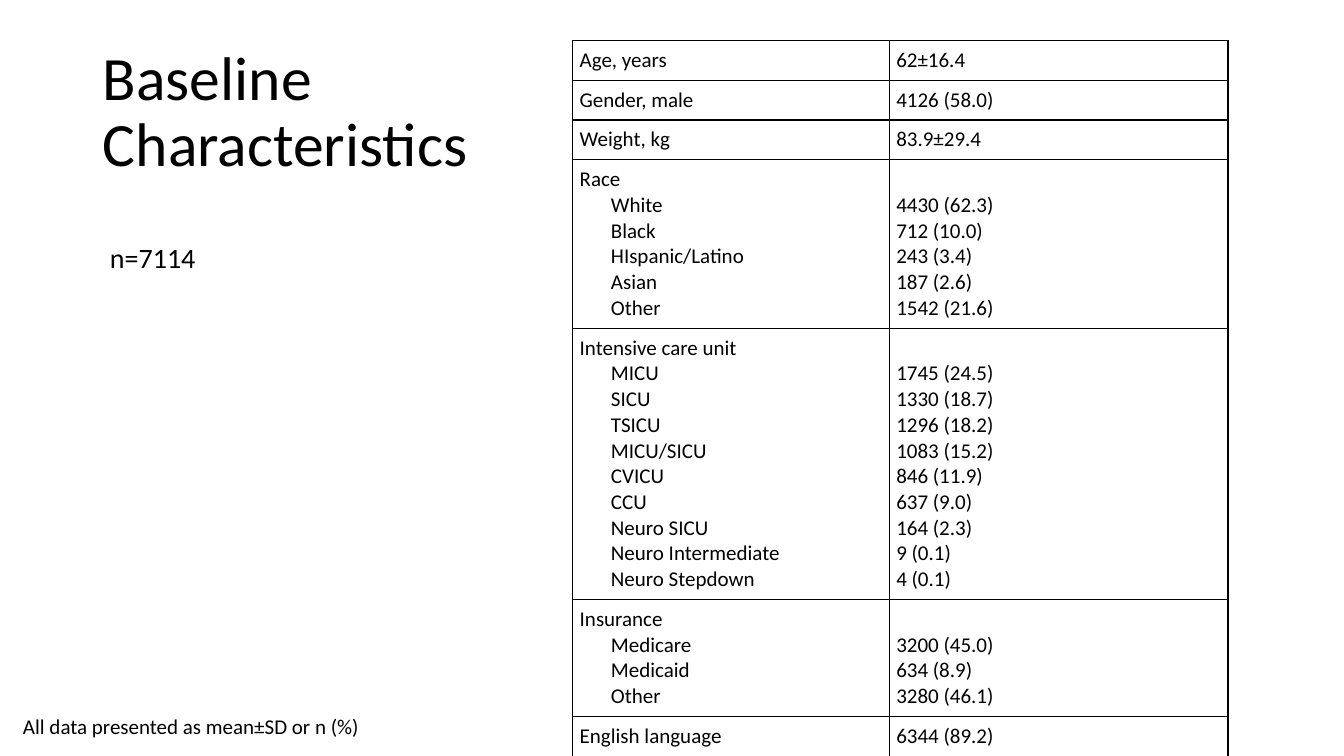
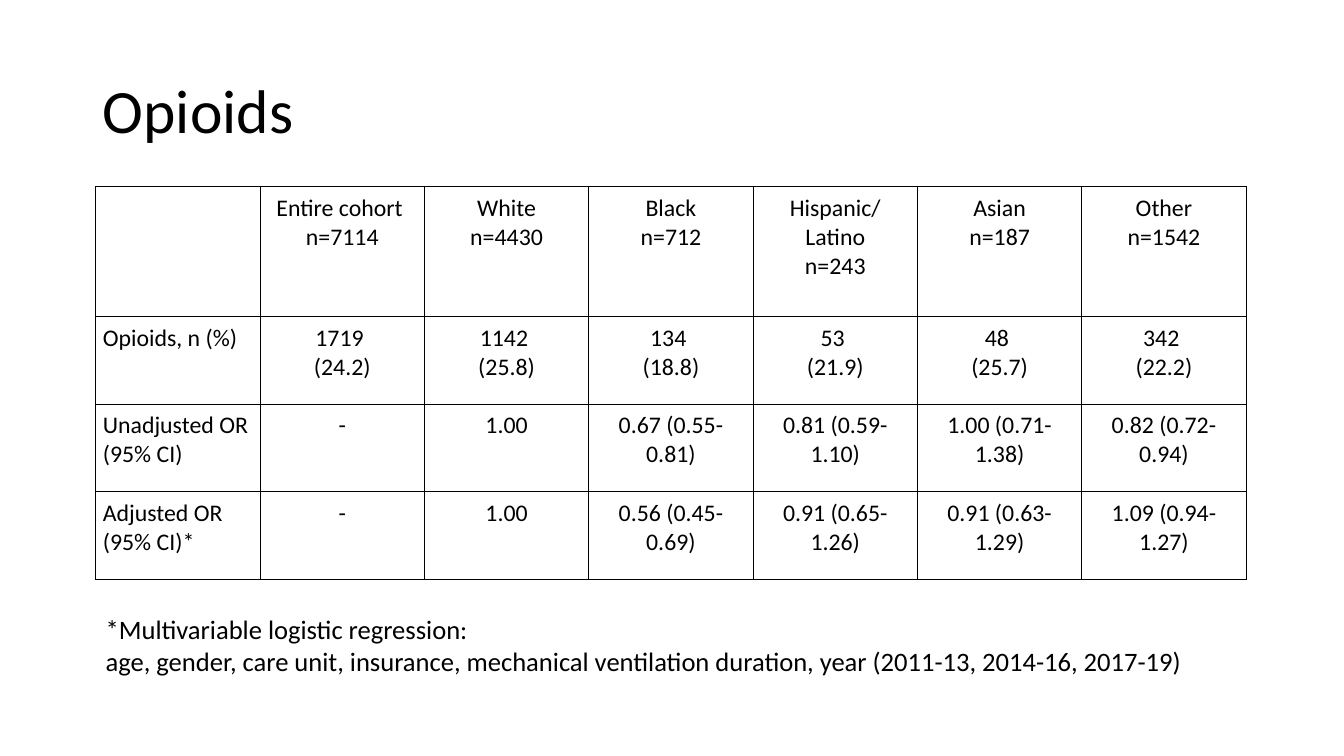
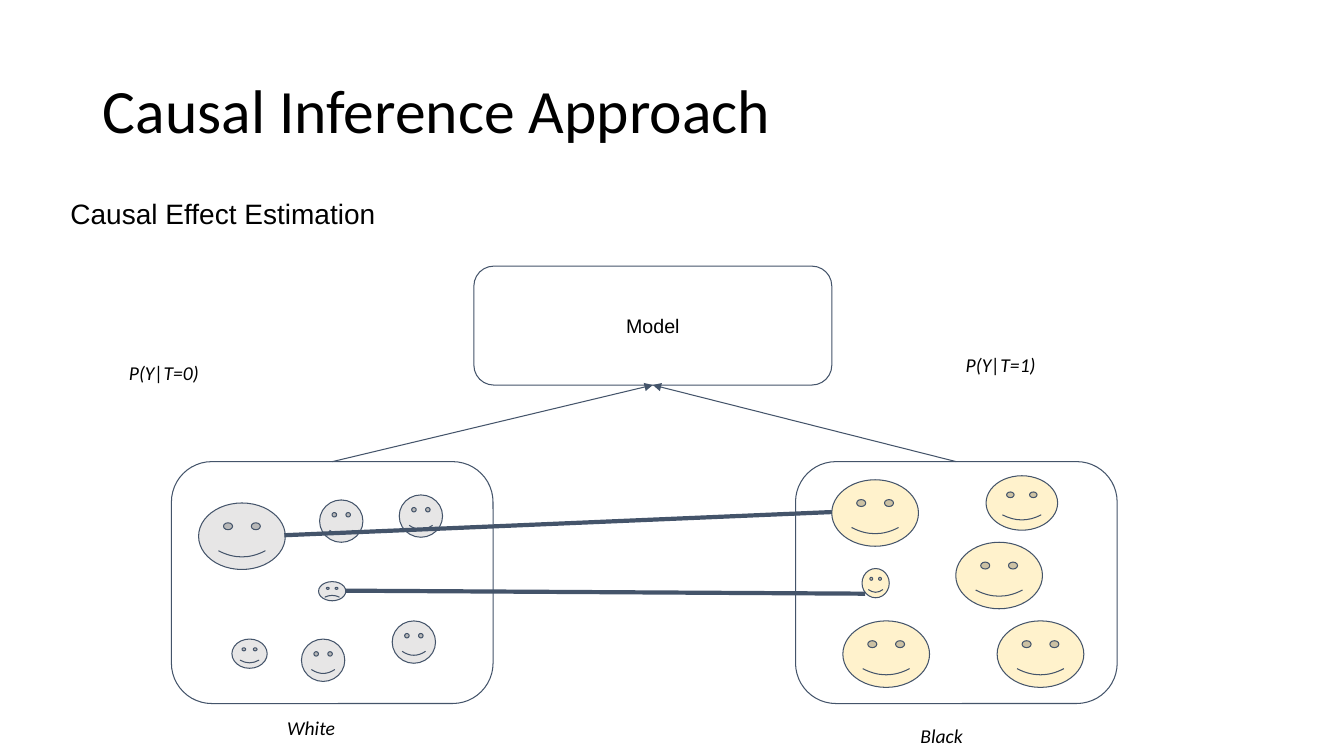
from lxml import etree
from pptx import Presentation
from pptx.dml.color import RGBColor
from pptx.enum.shapes import MSO_CONNECTOR, MSO_SHAPE
from pptx.enum.text import MSO_ANCHOR, MSO_AUTO_SIZE, PP_ALIGN
from pptx.oxml.ns import qn
from pptx.util import Inches, Pt

LEFT, MID = PP_ALIGN.LEFT, PP_ALIGN.CENTER
TOP, CENTRE = MSO_ANCHOR.TOP, MSO_ANCHOR.MIDDLE
ROUND, SMILE = MSO_SHAPE.ROUNDED_RECTANGLE, MSO_SHAPE.SMILEY_FACE
STRAIGHT = MSO_CONNECTOR.STRAIGHT
FIXED = MSO_AUTO_SIZE.NONE
COVER, PLAIN = 0, 5

BLACK, SLATE, GREY, CREAM = "000000", "44546A", "E7E6E6", "FFF2CC"
PAD = 0.07


def rgb(code):
    return RGBColor.from_string(code)


def box(*sizes):
    return [Inches(size) for size in sizes]


class Deck:
    font = "Calibri"
    head = 44

    def __init__(self):
        self.show = Presentation()
        self.show.slide_width, self.show.slide_height = box(13.33, 7.5)
        self.slide = None

    def page(self, kind, title, width=11.5):
        self.slide = self.show.slides.add_slide(self.show.slide_layouts[kind])
        self.holder(0, (0.92, 0.4, width, 1.45), title, self.head)

    def holder(self, index, place, text, size):
        """Move and fill a placeholder of the layout."""
        shape = self.slide.placeholders[index]
        shape.left, shape.top, shape.width, shape.height = box(*place)
        self.fit(shape.text_frame, 0.1, 0.05, CENTRE)
        self.lines(shape.text_frame, text, size, spacing=0.9)

    def fit(self, frame, side, edge, anchor):
        frame.word_wrap = True
        frame.auto_size = FIXED
        frame.vertical_anchor = anchor
        frame.margin_left = frame.margin_right = Inches(side)
        frame.margin_top = frame.margin_bottom = Inches(edge)

    def lines(self, frame, text, size, align=LEFT, font=None, italic=False,
              spacing=1.0, indent=0):
        """Set one paragraph a line; indent moves all lines but the first."""
        for row, line in enumerate(text.split("\n")):
            para = frame.add_paragraph() if row else frame.paragraphs[0]
            para.alignment = align
            para.line_spacing = spacing
            para.space_before = Pt(0)
            if row and indent:
                para._p.get_or_add_pPr().set("marL", str(Inches(indent)))
            run = para.add_run()
            run.text = line
            run.font.name = font or self.font
            run.font.size = Pt(size)
            run.font.italic = italic
            run.font.color.rgb = rgb(BLACK)

    def label(self, place, text, size, **style):
        frame = self.slide.shapes.add_textbox(*box(*place)).text_frame
        self.fit(frame, 0.1, 0.1, TOP)
        self.lines(frame, text, size, **style)

    def grid(self, left, top, widths, heights):
        shape = self.slide.shapes.add_table(
            len(heights), len(widths),
            *box(left, top, sum(widths), sum(heights)))
        table = shape.table
        table.first_row = table.horz_banding = False
        for col, width in zip(table.columns, widths):
            col.width = Inches(width)
        for row, height in zip(table.rows, heights):
            row.height = Inches(height)
        for cell in table.iter_cells():
            cell.margin_left = cell.margin_right = Inches(PAD)
            cell.margin_top = cell.margin_bottom = Inches(PAD)
            self.edge(cell)
            cell.fill.background()
        return table

    def edge(self, cell):
        """Draw black lines on all four sides of a cell."""
        props = cell._tc.get_or_add_tcPr()
        for side in ("lnL", "lnR", "lnT", "lnB"):
            line = etree.SubElement(props, qn("a:" + side), w=str(Pt(1)))
            fill = etree.SubElement(line, qn("a:solidFill"))
            etree.SubElement(fill, qn("a:srgbClr"), val=BLACK)

    def shape(self, kind, place, bend, fill=None):
        shape = self.slide.shapes.add_shape(kind, *box(*place))
        shape.shadow.inherit = False
        shape.adjustments[0] = bend
        if fill:
            shape.fill.solid()
            shape.fill.fore_color.rgb = rgb(fill)
        else:
            shape.fill.background()
        shape.line.color.rgb = rgb(SLATE)
        shape.line.width = Pt(0.75)
        return shape

    def panel(self, *place):
        return self.shape(ROUND, place, 0.167)

    def face(self, place, fill, bend=0.047):
        self.shape(SMILE, place, bend, fill)

    def link(self, start, end, width):
        line = self.slide.shapes.add_connector(STRAIGHT, *box(*start, *end))
        line.line.color.rgb = rgb(SLATE)
        line.line.width = Pt(width)
        etree.SubElement(line._element.spPr, qn("a:effectLst"))
        return line

    def arrow(self, low, high):
        """Point from the top of one shape to the foot of another."""
        line = self.link((0, 0), (1, 1), 0.75)
        line.begin_connect(low, 0)
        line.end_connect(high, 2)
        etree.SubElement(line._element.spPr.find(qn("a:ln")),
                         qn("a:tailEnd"), type="triangle")


TRAITS = [
    ("Age, years", "62±16.4"),
    ("Gender, male", "4126 (58.0)"),
    ("Weight, kg", "83.9±29.4"),
    ("Race\nWhite\nBlack\nHIspanic/Latino\nAsian\nOther",
     "4430 (62.3)\n712 (10.0)\n243 (3.4)\n187 (2.6)\n1542 (21.6)"),
    ("Intensive care unit\nMICU\nSICU\nTSICU\nMICU/SICU\nCVICU\nCCU\n"
     "Neuro SICU\nNeuro Intermediate\nNeuro Stepdown",
     "1745 (24.5)\n1330 (18.7)\n1296 (18.2)\n1083 (15.2)\n846 (11.9)\n"
     "637 (9.0)\n164 (2.3)\n9 (0.1)\n4 (0.1)"),
    ("Insurance\nMedicare\nMedicaid\nOther",
     "3200 (45.0)\n634 (8.9)\n3280 (46.1)"),
    ("English language", "6344 (89.2)"),
]

ODDS = [
    ("", "Entire cohort \nn=7114", "White\nn=4430", "Black\nn=712",
     "Hispanic/\nLatino\nn=243", "Asian\nn=187", "Other\nn=1542"),
    ("Opioids, n (%)", "1719 \n(24.2)", "1142 \n(25.8)", "134 \n(18.8)",
     "53 \n(21.9)", "48 \n(25.7)", "342 \n(22.2)"),
    ("Unadjusted OR (95% CI)", "-", "1.00", "0.67 (0.55-0.81)",
     "0.81 (0.59-1.10)", "1.00 (0.71-1.38)", "0.82 (0.72-0.94)"),
    ("Adjusted OR (95% CI)*", "-", "1.00", "0.56 (0.45-0.69)",
     "0.91 (0.65-1.26)", "0.91 (0.63-1.29)", "1.09 (0.94-1.27)"),
]

BIG, SMALL = (0.86, 0.66), (0.43, 0.42)
WHITE_FACES = [
    (1.97, 4.99, *BIG), (2.3, 6.34, 0.35, 0.29), (3.89, 6.16, *SMALL),
    (3.96, 4.91, *SMALL), (3.17, 4.96, *SMALL), (2.99, 6.34, *SMALL),
]
BLACK_FACES = [
    (8.25, 4.76, *BIG), (9.89, 6.16, *BIG), (9.48, 5.38, *BIG),
    (8.36, 6.16, *BIG), (9.78, 4.72, 0.71, 0.54), (8.55, 5.64, 0.27, 0.29),
]
NOTES = [
    (1.18, 3.48, 2.28, 0.66, "P(Y|T=0)"), (9.48, 3.4, 2.28, 0.66, "P(Y|T=1)"),
    (2.75, 7, 0.92, 0.42, "White"), (9.03, 7.08, 0.92, 0.42, "Black"),
]


def baseline(deck):
    size, line = 15, 0.255
    deck.page(COVER, "Baseline\nCharacteristics", 4.24)
    deck.holder(1, (0.99, 1.85, 4.24, 1.45), "n=7114", 20)
    counts = [len(name.split("\n")) for name, _ in TRAITS]
    table = deck.grid(5.68, 0.4, [3.14, 3.36],
                      [2 * PAD + line * count for count in counts])
    for row, (name, value) in enumerate(TRAITS):
        deck.lines(table.cell(row, 0).text_frame, name, size, indent=0.31)
        cell = table.cell(row, 1)
        if counts[row] > 1:
            cell.margin_top = Inches(PAD + line)
        deck.lines(cell.text_frame, value, size)
    deck.label((0.13, 6.98, 5.03, 0.34),
               "All data presented as mean±SD or n (%)", size)


def opioids(deck):
    deck.page(PLAIN, "Opioids")
    table = deck.grid(0.95, 1.85, [1.63] * 7, [1.29] + [0.87] * 3)
    for row, values in enumerate(ODDS):
        for col, value in enumerate(values):
            if value:
                deck.lines(table.cell(row, col).text_frame, value, 17,
                           align=MID if col else LEFT)
    deck.label((0.95, 5.98, 11.12, 0.46),
               "*Multivariable logistic regression:\n"
               "age, gender, care unit, insurance, mechanical ventilation "
               "duration, year (2011-13, 2014-16, 2017-19)", 19)


def causal(deck):
    deck.page(PLAIN, "Causal Inference Approach")
    deck.label((0.6, 1.85, 3.28, 0.54), "Causal Effect Estimation", 20,
               font="Arial")
    model = deck.panel(4.7, 2.64, 3.55, 1.18)
    deck.fit(model.text_frame, 0.1, 0.1, CENTRE)
    deck.lines(model.text_frame, "Model", 14, align=MID, font="Arial")
    for left in (1.7, 7.89):
        deck.arrow(deck.panel(left, 4.58, 3.19, 2.4), model)
    for fill, faces in ((GREY, WHITE_FACES), (CREAM, BLACK_FACES)):
        for place in faces:
            deck.face(place, fill)
    deck.face((3.16, 5.77, 0.27, 0.19), GREY, -0.047)
    deck.link((3.43, 5.86), (8.58, 5.89), 3)
    deck.link((2.82, 5.31), (8.25, 5.08), 3)
    for *place, text in NOTES:
        deck.label(place, text, 14, italic=True)


def main():
    deck = Deck()
    for build in (baseline, opioids, causal):
        build(deck)
    deck.show.save("out.pptx")


if __name__ == "__main__":
    main()
